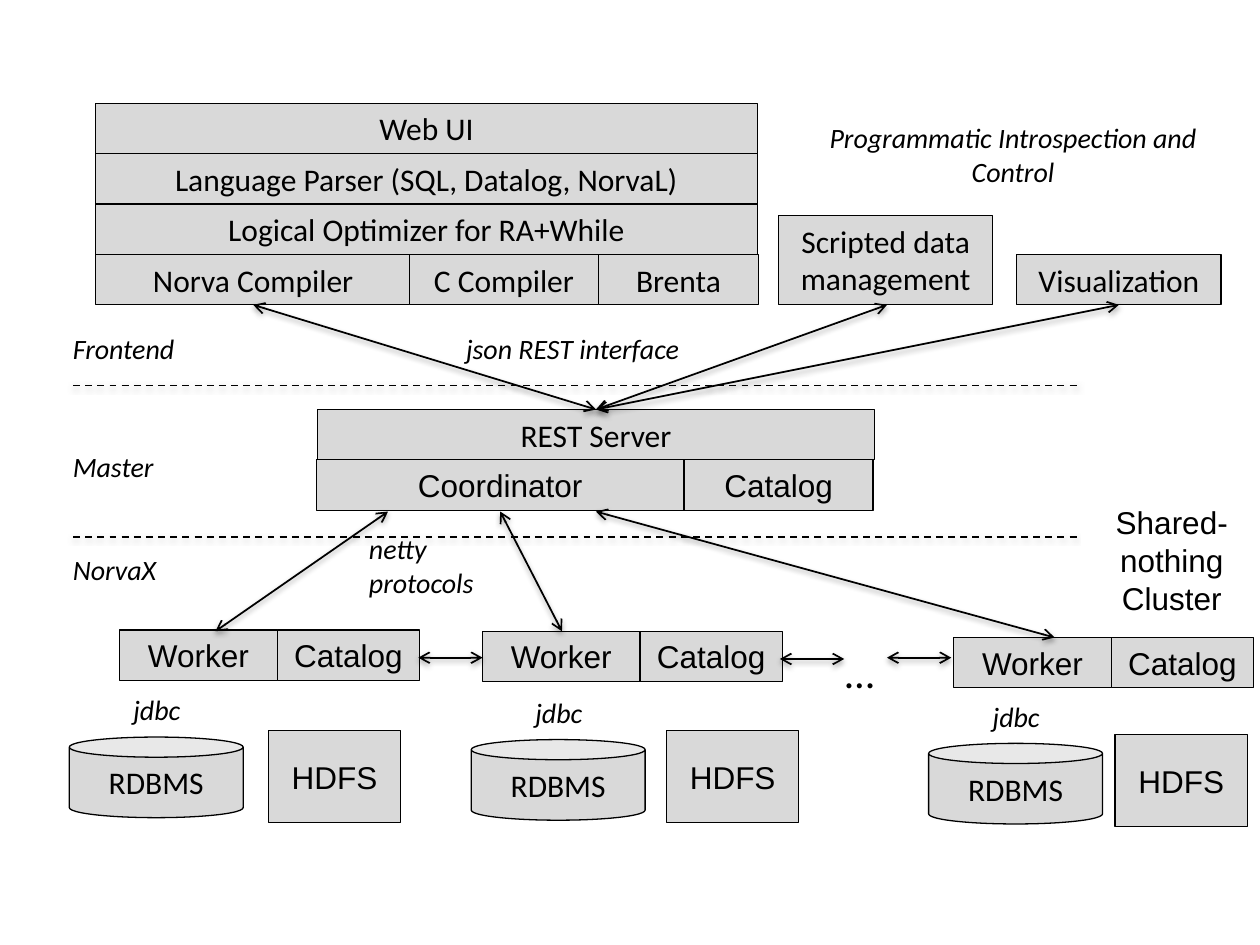
from lxml import etree
from pptx import Presentation
from pptx.dml.color import RGBColor
from pptx.enum.dml import MSO_LINE
from pptx.enum.shapes import MSO_CONNECTOR, MSO_SHAPE
from pptx.enum.text import MSO_ANCHOR, MSO_AUTO_SIZE, PP_ALIGN
from pptx.oxml import parse_xml
from pptx.oxml.ns import nsdecls, qn
from pptx.util import Inches, Pt

RECT, CAN = MSO_SHAPE.RECTANGLE, MSO_SHAPE.CAN
STRAIGHT, DASH = MSO_CONNECTOR.STRAIGHT, MSO_LINE.DASH
TOP, MIDDLE = MSO_ANCHOR.TOP, MSO_ANCHOR.MIDDLE
LEFT, CENTER = PP_ALIGN.LEFT, PP_ALIGN.CENTER
GROW, FIXED = MSO_AUTO_SIZE.SHAPE_TO_FIT_TEXT, MSO_AUTO_SIZE.NONE
BLACK = RGBColor(0x00, 0x00, 0x00)
WHITE = RGBColor(0xFF, 0xFF, 0xFF)
GRAY = RGBColor(0xD9, 0xD9, 0xD9)
CALIBRI, ARIAL = "Calibri", "Arial"
ROW = 0.4
SHADOW = (
    f'<a:effectLst {nsdecls("a")}><a:outerShdw blurRad="40000" dist="20000" '
    'dir="5400000" rotWithShape="0"><a:srgbClr val="000000">'
    '<a:alpha val="38000"/></a:srgbClr></a:outerShdw></a:effectLst>'
)

prs = Presentation()
prs.slide_width, prs.slide_height = Inches(10), Inches(7.5)
shapes = prs.slides.add_slide(prs.slide_layouts[6]).shapes


def add_label(text, x, y, w, h, font=CALIBRI, size=16, italic=True,
              align=LEFT, kind=None, fill=GRAY, anchor=TOP):
    """Add a text box, or a filled preset shape when kind is given."""
    area = [Inches(v) for v in (x, y, w, h)]
    if kind is None:
        label = shapes.add_textbox(*area)
    else:
        label = shapes.add_shape(kind, *area)
        label.shadow.inherit = False
        label.fill.solid()
        label.fill.fore_color.rgb = fill
        if fill == GRAY:
            label.line.color.rgb = BLACK
            label.line.width = Pt(0.75)
        else:
            label.line.fill.background()
    frame = label.text_frame
    frame.text = text
    frame.word_wrap = True
    frame.vertical_anchor = anchor
    frame.auto_size = GROW if anchor == TOP else FIXED
    paragraph = frame.paragraphs[0]
    paragraph.alignment = align
    run_font = paragraph.runs[0].font
    run_font.name, run_font.size, run_font.italic = font, Pt(size), italic
    run_font.color.rgb = BLACK


def add_line(x1, y1, x2, y2, dashed=False):
    """Add a shadowed line, dashed or with an arrowhead at both ends."""
    line = shapes.add_connector(STRAIGHT, *[Inches(v) for v in (x1, y1, x2, y2)])
    line.line.color.rgb = BLACK
    line.line.width = Pt(1)
    if dashed:
        line.line.dash_style = DASH
    else:
        for end in ("a:headEnd", "a:tailEnd"):
            etree.SubElement(line.line._ln, qn(end), type="arrow")
    line._element.spPr.append(parse_xml(SHADOW))


box = {"size": 18, "italic": False, "align": CENTER, "kind": RECT}

# Frontend stack and clients
stack_x, stack_y, stack_w = 0.76, 0.82, 5.25
stack = ["Web UI", "Language Parser (SQL, Datalog, NorvaL)",
         "Logical Optimizer for RA+While"]
for level, layer in enumerate(stack):
    add_label(layer, stack_x, stack_y + level * ROW, stack_w, ROW, **box)
for backend, x, w in [("Norva Compiler", 0.76, 2.5), ("C Compiler", 3.25, 1.5),
                      ("Brenta", 4.75, 1.27)]:
    add_label(backend, x, 2.02, w, ROW, **box)
add_label("Scripted data management", 6.18, 1.71, 1.7, 0.71, **box)
add_label("Visualization", 8.07, 2.02, 1.62, ROW, **box)

# Master
add_label("REST Server", 2.52, 3.25, 4.42, ROW, **box)
add_label("Coordinator", 2.51, 3.65, 2.92, ROW, ARIAL, **box)
add_label("Catalog", 5.43, 3.65, 1.5, ROW, ARIAL, **box)

# Cluster nodes: corners of the worker, the database and the file store
nodes = [
    ((0.95, 5.0), (0.55, 5.85), (2.13, 5.8)),
    ((3.83, 5.01), (3.74, 5.87), (5.29, 5.8)),
    ((7.57, 5.06), (7.37, 5.9), (8.85, 5.83)),
]
for (worker_x, worker_y), (db_x, db_y), (hdfs_x, hdfs_y) in nodes:
    add_label("Worker", worker_x, worker_y, 1.25, ROW, ARIAL, **box)
    add_label("Catalog", worker_x + 1.25, worker_y, 1.13, ROW, ARIAL,
              anchor=MIDDLE, **box)
    add_label("jdbc", db_x + 0.41, db_y - 0.4, 0.67, 0.37)
    add_label("RDBMS", db_x, db_y, 1.38, 0.64, **{**box, "kind": CAN})
    add_label("HDFS", hdfs_x, hdfs_y, 1.05, 0.73, ARIAL, anchor=MIDDLE, **box)
add_label("…", 6.61, 5.08, 0.86, 0.5, size=24, italic=False)

# Links
for client_x in (2.01, 7.04, 8.88):
    add_line(client_x, 2.42, 4.73, 3.25)
for master_x, worker_x, worker_y in [(3.08, 1.71, 5.01), (3.97, 4.46, 5.01),
                                     (4.73, 8.37, 5.06)]:
    add_line(master_x, 4.06, worker_x, worker_y)
for right, y in [(3.83, 5.22), (6.7, 5.23), (7.55, 5.22)]:
    add_line(right, y, right - 0.51, y)

# Tier borders and captions
for border_y in (3.06, 4.26):
    add_line(0.58, border_y, 8.58, border_y, dashed=True)
for tier, y in [("Frontend", 2.58), ("Master", 3.52), ("NorvaX", 4.34)]:
    add_label(tier, 0.48, y, 1.94, 0.37)
add_label("json REST interface", 3.6, 2.58, 2.69, 0.37)
add_label("netty protocols", 2.83, 4.17, 1.31, 0.64)
add_label("Programmatic Introspection and Control", 6.39, 0.91, 3.3, 0.64,
          align=CENTER)
add_label("Shared-nothing Cluster", 8.58, 3.84, 1.44, 1.21, ARIAL,
          fill=WHITE, anchor=MIDDLE, **box)

prs.save("out.pptx")
